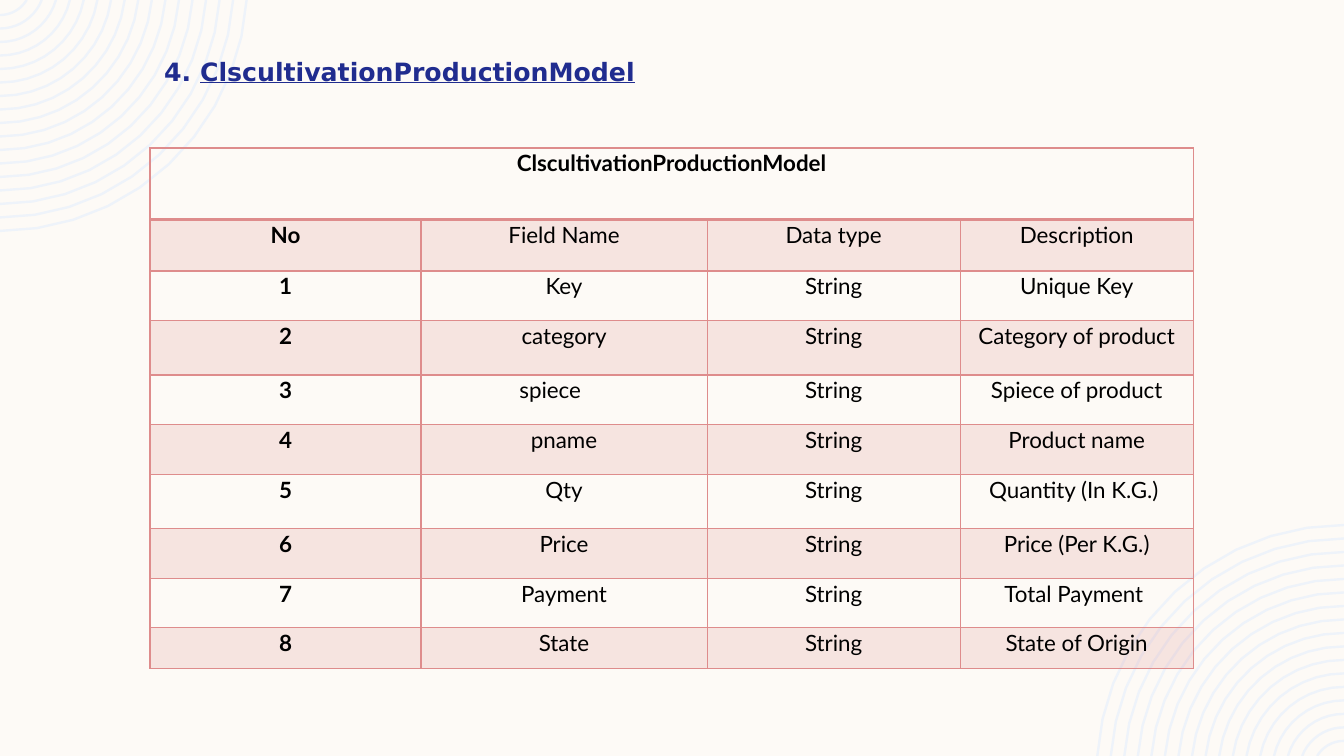
from math import asin, cos, pi, sin

from lxml.etree import SubElement
from pptx import Presentation
from pptx.dml.color import RGBColor
from pptx.enum.text import PP_ALIGN
from pptx.oxml import parse_xml
from pptx.oxml.ns import nsdecls, qn
from pptx.util import Cm, Pt

MODEL = "ClscultivationProductionModel"
HEADINGS = ("No", "Field Name", "Data type", "Description")
FIELDS = [
    ("Key", "Unique Key"),
    ("category", "Category of product"),
    ("spiece", "Spiece of product"),
    ("pname", "Product name"),
    ("Qty", "Quantity (In K.G.) "),
    ("Price", "Price (Per K.G.)"),
    ("Payment", "Total Payment "),
    ("State", "State of Origin"),
]
COLORS = {"page": "FDFAF6", "rings": "EEF3FA", "title": "202C8F",
          "text": "000000", "rose": "DE8C8C"}

WIDTH, HEIGHT = 33.87, 19.05
COLUMN_WIDTHS = (6.83, 7.21, 6.38, 5.87)
ROW_HEIGHTS = (1.8, 1.3, 1.25, 1.37, 1.25, 1.25, 1.37, 1.25, 1.25, 1.02)
TABLE_LEFT, TABLE_TOP = 3.78, 3.73
CELL_MARGIN = 0.17
SPIECE_INDENT = 2.48

RING_COUNT, RING_PITCH, RING_WIDTH = 17, 0.34, 0.06
RING_RADIUS, RING_RISE = 6.23, 0.41
ARC_STEPS = 10


def write(frame, spans, *, font, size, color, align=PP_ALIGN.LEFT):
    """Fill the frame with one paragraph of (text, bold, underline) spans."""
    para = frame.paragraphs[0]
    para.alignment = align
    para.line_spacing = 1.07
    para.space_after = Pt(8)
    for text, bold, underline in spans:
        span = para.add_run()
        span.text = text
        span.font.name = font
        span.font.size = Pt(size)
        span.font.bold = bold
        span.font.underline = underline
        span.font.color.rgb = RGBColor.from_string(COLORS[color])


def arc(radius):
    """Points of the arc, centred just above the page, from its top edge to its left edge."""
    start = asin(RING_RISE / radius)
    angles = [start + (pi / 2 - start) * step / ARC_STEPS for step in range(ARC_STEPS + 1)]
    return [(radius * cos(angle), radius * sin(angle) - RING_RISE) for angle in angles]


def add_rings(page, place):
    """Draw the corner rings; place maps a top-left point to its corner."""
    builder = None
    for ring in range(RING_COUNT):
        points = [tuple(Cm(value) for value in place(x, y))
                  for x, y in arc(RING_RADIUS - ring * RING_PITCH)]
        if builder is None:
            builder = page.shapes.build_freeform(*points[0])
        else:
            builder.move_to(*points[0])
        builder.add_line_segments(points[1:], close=False)
    rings = builder.convert_to_shape()
    rings.shadow.inherit = False
    rings.fill.background()
    rings.line.color.rgb = RGBColor.from_string(COLORS["rings"])
    rings.line.width = Cm(RING_WIDTH)


def style_cell(cell, shaded, bottom):
    cell.margin_left = cell.margin_right = Cm(CELL_MARGIN)
    cell.margin_top = cell.margin_bottom = 0
    properties = cell._tc.get_or_add_tcPr()
    if shaded:
        cell.fill.solid()
        cell.fill.fore_color.rgb = RGBColor.from_string(COLORS["rose"])
        SubElement(properties.find(".//" + qn("a:srgbClr")), qn("a:alpha"), val="20000")
    else:
        cell.fill.background()
    for position, (side, points) in enumerate((("L", 1), ("R", 1), ("T", 1), ("B", bottom))):
        properties.insert(position, parse_xml(
            f'<a:ln{side} {nsdecls("a")} w="{Pt(points)}"><a:solidFill>'
            f'<a:srgbClr val="{COLORS["rose"]}"/></a:solidFill></a:ln{side}>'))


def add_field_table(page):
    rows = [(MODEL, "", "", ""), HEADINGS]
    rows += [(str(number), name, "String", description)
             for number, (name, description) in enumerate(FIELDS, 1)]
    frame = page.shapes.add_table(
        len(rows), len(HEADINGS), Cm(TABLE_LEFT), Cm(TABLE_TOP),
        Cm(sum(COLUMN_WIDTHS)), Cm(sum(ROW_HEIGHTS)))
    table = frame.table
    table.first_row = table.horz_banding = False
    for column, width in zip(table.columns, COLUMN_WIDTHS):
        column.width = Cm(width)
    for row, height in zip(table.rows, ROW_HEIGHTS):
        row.height = Cm(height)
    table.cell(0, 0).merge(table.cell(0, len(HEADINGS) - 1))

    for row, values in enumerate(rows):
        for column, text in enumerate(values):
            cell = table.cell(row, column)
            style_cell(cell, shaded=row % 2 == 1, bottom=2 if row == 0 else 1)
            if not text:
                continue
            align = PP_ALIGN.CENTER
            if text == "spiece":
                align = PP_ALIGN.LEFT
                cell.margin_left = Cm(SPIECE_INDENT)
            write(cell.text_frame, [(text, column == 0, False)],
                  font="Lato", size=16, color="text", align=align)


def main():
    deck = Presentation()
    deck.slide_width, deck.slide_height = Cm(WIDTH), Cm(HEIGHT)
    page = deck.slides.add_slide(deck.slide_layouts[6])
    page.background.fill.solid()
    page.background.fill.fore_color.rgb = RGBColor.from_string(COLORS["page"])

    add_rings(page, lambda x, y: (x, y))
    add_rings(page, lambda x, y: (WIDTH - x, HEIGHT - y))

    title = page.shapes.add_textbox(Cm(3.89), Cm(1.24), Cm(16.94), Cm(2.06))
    title.text_frame.word_wrap = True
    write(title.text_frame, [("4. ", True, False), (MODEL, True, True)],
          font="DejaVu Sans", size=18, color="title")

    add_field_table(page)
    deck.save("out.pptx")


if __name__ == "__main__":
    main()
